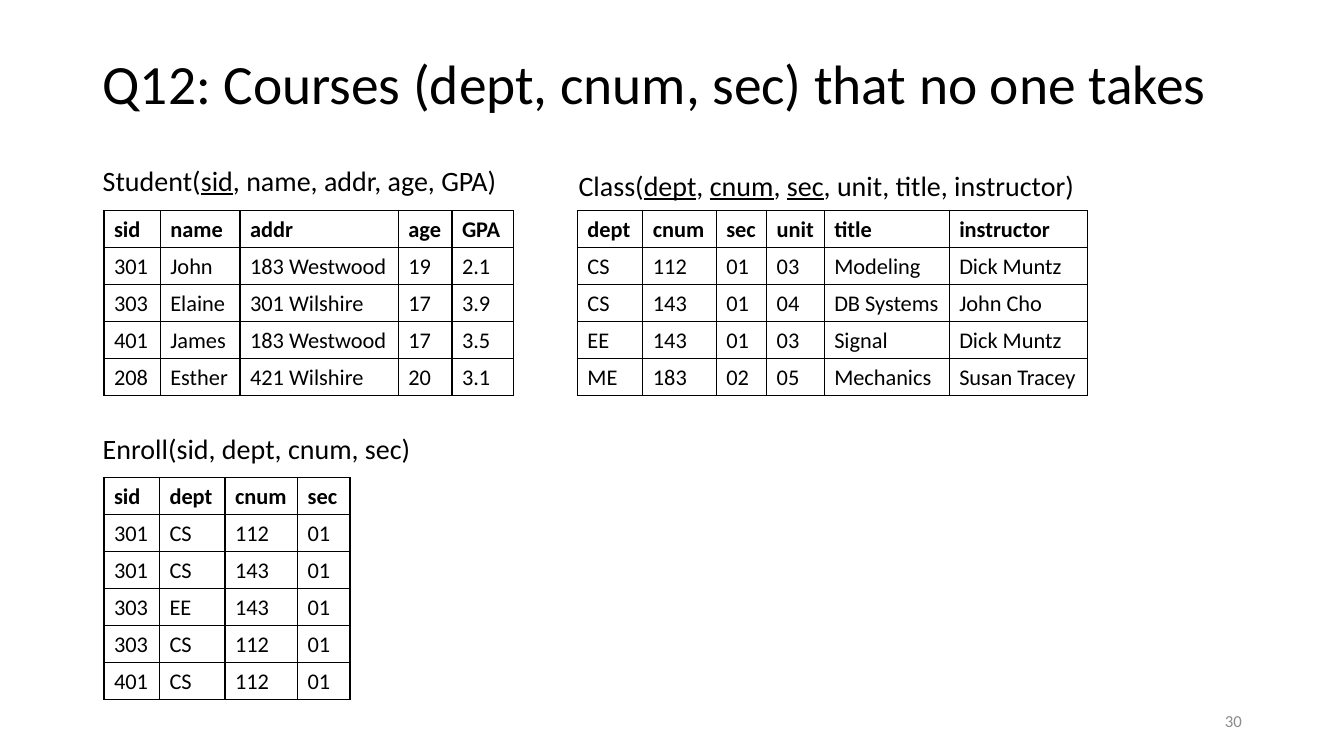
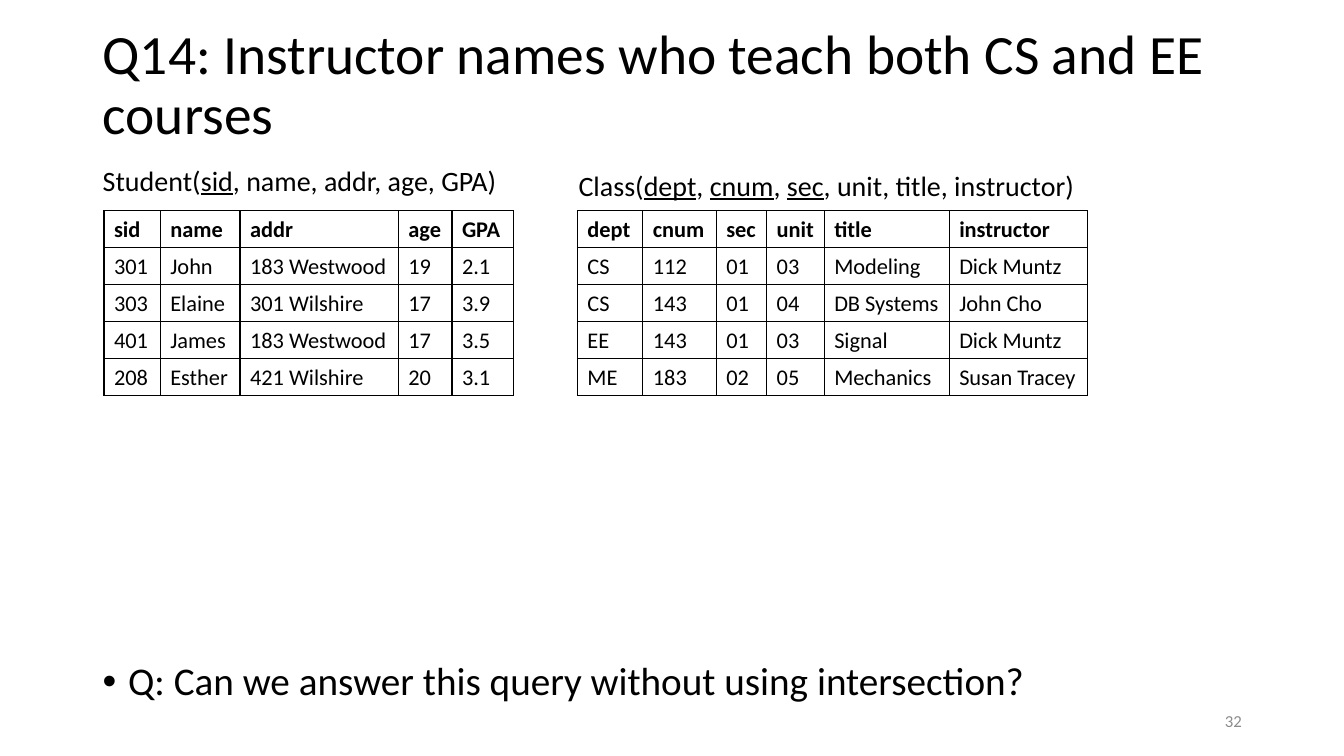
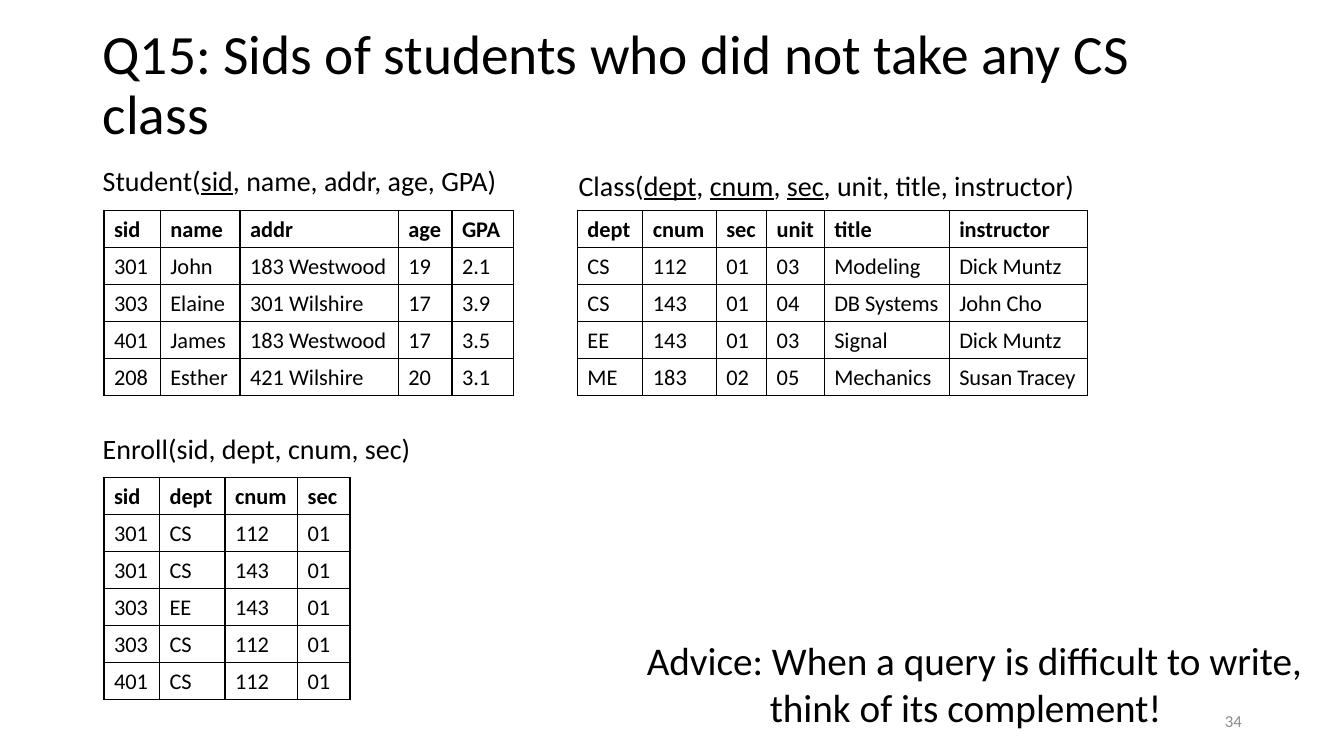
from dataclasses import dataclass

from lxml.etree import SubElement
from pptx import Presentation
from pptx.dml.color import RGBColor
from pptx.enum.text import MSO_ANCHOR, PP_ALIGN
from pptx.oxml.ns import qn
from pptx.slide import Slide
from pptx.table import _Cell
from pptx.text.text import _Paragraph
from pptx.util import Cm, Pt

FONT = "Calibri"
BLACK = RGBColor(0x00, 0x00, 0x00)
GREY = RGBColor(0x8C, 0x8C, 0x8C)

MARGIN = 2.34
TABLE_LEFT = 2.62
ROW_HEIGHT = 0.93
BULLET_INDENT = 0.64


@dataclass(frozen=True)
class Place:
    """Left, top, width and height in centimetres."""
    left: float
    top: float
    width: float
    height: float

    def lengths(self) -> tuple[Cm, Cm, Cm, Cm]:
        return Cm(self.left), Cm(self.top), Cm(self.width), Cm(self.height)


@dataclass(frozen=True)
class Relation:
    """A schema line, with key columns between underscores, and its table."""
    schema: str
    schema_place: Place
    table_left: float
    table_top: float
    widths: tuple[float, ...]
    rows: tuple[tuple[str, ...], ...]


@dataclass(frozen=True)
class Question:
    title: str
    number: int
    relations: tuple[Relation, ...]
    bullet: str = ""
    advice: tuple[str, ...] = ()


TITLE_PLACE = Place(MARGIN, 1.02, 29.21, 2.31)
NUMBER_PLACE = Place(23.93, 17.65, 7.62, 1.02)
BULLET_PLACE = Place(MARGIN, 16.55, 29.21, 1.35)
ADVICE_PLACE = Place(16.05, 15.9, 17.45, 2.64)
ADVICE_INDENTS = (0, 3.1)

STUDENT = Relation(
    "Student(_sid_, name, addr, age, GPA)", Place(MARGIN, 3.99, 10.57, 1.1),
    TABLE_LEFT, 5.31, (1.42, 2.01, 3.99, 1.35, 1.55),
    (
        ("sid", "name", "addr", "age", "GPA"),
        ("301", "John", "183 Westwood", "19", "2.1"),
        ("303", "Elaine", "301 Wilshire", "17", "3.9"),
        ("401", "James", "183 Westwood", "17", "3.5"),
        ("208", "Esther", "421 Wilshire", "20", "3.1"),
    ),
)
CLASS = Relation(
    "Class(_dept_, _cnum_, _sec_, unit, title, instructor)", Place(14.33, 4.11, 15.27, 1.1),
    14.55, 5.31, (1.65, 1.85, 1.27, 1.45, 3.15, 3.48),
    (
        ("dept", "cnum", "sec", "unit", "title", "instructor"),
        ("CS", "112", "01", "03", "Modeling", "Dick Muntz"),
        ("CS", "143", "01", "04", "DB Systems", "John Cho"),
        ("EE", "143", "01", "03", "Signal", "Dick Muntz"),
        ("ME", "183", "02", "05", "Mechanics", "Susan Tracey"),
    ),
)
ENROLL = Relation(
    "Enroll(sid, dept, cnum, sec)", Place(MARGIN, 10.74, 10.21, 1.1),
    TABLE_LEFT, 12.04, (1.4, 1.65, 1.83, 1.32),
    (
        ("sid", "dept", "cnum", "sec"),
        ("301", "CS", "112", "01"),
        ("301", "CS", "143", "01"),
        ("303", "EE", "143", "01"),
        ("303", "CS", "112", "01"),
        ("401", "CS", "112", "01"),
    ),
)

QUESTIONS = (
    Question("Q12: Courses (dept, cnum, sec) that no one takes", 30,
             (STUDENT, CLASS, ENROLL)),
    Question("Q14: Instructor names who teach both CS and EE courses", 32,
             (STUDENT, CLASS),
             bullet="Q: Can we answer this query without using intersection?"),
    Question("Q15: Sids of students who did not take any CS class", 34,
             (STUDENT, CLASS, ENROLL),
             advice=("Advice: When a query is difficult to write,",
                     "think of its complement!")),
)


def write(para: _Paragraph, text: str, *, size: float, color: RGBColor = BLACK,
          bold: bool = False, align: PP_ALIGN = PP_ALIGN.LEFT,
          spacing: float = 1.0) -> None:
    """Fill a paragraph; words between underscores are underlined."""
    para.alignment = align
    para.line_spacing = spacing
    for index, part in enumerate(text.split("_")):
        span = para.add_run()
        span.text = part
        span.font.name = FONT
        span.font.size = Pt(size)
        span.font.color.rgb = color
        span.font.bold = bold
        span.font.underline = index % 2 == 1


def indent(para: _Paragraph, left: float, first: float = 0, bullet: str = "") -> None:
    properties = para._p.get_or_add_pPr()
    properties.set("marL", str(Cm(left)))
    properties.set("indent", str(Cm(first)))
    if bullet:
        SubElement(properties, qn("a:buFont"), typeface="Arial")
        SubElement(properties, qn("a:buChar"), char=bullet)


def add_text(page: Slide, place: Place, *lines: str,
             anchor: MSO_ANCHOR = MSO_ANCHOR.TOP, **style) -> list[_Paragraph]:
    frame = page.shapes.add_textbox(*place.lengths()).text_frame
    frame.word_wrap = True
    frame.vertical_anchor = anchor
    for index, line in enumerate(lines):
        para = frame.add_paragraph() if index else frame.paragraphs[0]
        write(para, line, **style)
    return list(frame.paragraphs)


def style_cell(cell: _Cell) -> None:
    """Give a cell thin black borders and no fill."""
    properties = cell._tc.get_or_add_tcPr()
    for side in ("lnL", "lnR", "lnT", "lnB"):
        line = SubElement(properties, qn(f"a:{side}"), w=str(Pt(1)))
        fill = SubElement(line, qn("a:solidFill"))
        SubElement(fill, qn("a:srgbClr"), val=str(BLACK))
    cell.fill.background()


def add_relation(page: Slide, relation: Relation) -> None:
    add_text(page, relation.schema_place, relation.schema, size=20)
    place = Place(relation.table_left, relation.table_top,
                  sum(relation.widths), ROW_HEIGHT * len(relation.rows))
    table = page.shapes.add_table(
        len(relation.rows), len(relation.widths), *place.lengths()).table
    table.horz_banding = False
    for column, width in zip(table.columns, relation.widths):
        column.width = Cm(width)
    for row_index, (row, values) in enumerate(zip(table.rows, relation.rows)):
        row.height = Cm(ROW_HEIGHT)
        for cell, value in zip(row.cells, values):
            style_cell(cell)
            write(cell.text_frame.paragraphs[0], value, size=16, bold=row_index == 0)


def add_question(page: Slide, question: Question) -> None:
    add_text(page, TITLE_PLACE, question.title, size=39.6, spacing=0.9,
             anchor=MSO_ANCHOR.MIDDLE)
    for relation in question.relations:
        add_relation(page, relation)
    if question.bullet:
        for para in add_text(page, BULLET_PLACE, question.bullet, size=28, spacing=0.9):
            indent(para, BULLET_INDENT, -BULLET_INDENT, "•")
    if question.advice:
        paras = add_text(page, ADVICE_PLACE, *question.advice, size=28)
        for para, left in zip(paras, ADVICE_INDENTS):
            indent(para, left)
    add_text(page, NUMBER_PLACE, str(question.number), size=12, color=GREY,
             align=PP_ALIGN.RIGHT, anchor=MSO_ANCHOR.MIDDLE)


def main() -> None:
    deck = Presentation()
    deck.slide_width, deck.slide_height = Cm(33.87), Cm(19.05)
    blank = deck.slide_layouts[6]
    for question in QUESTIONS:
        add_question(deck.slides.add_slide(blank), question)
    deck.save("out.pptx")


if __name__ == "__main__":
    main()
